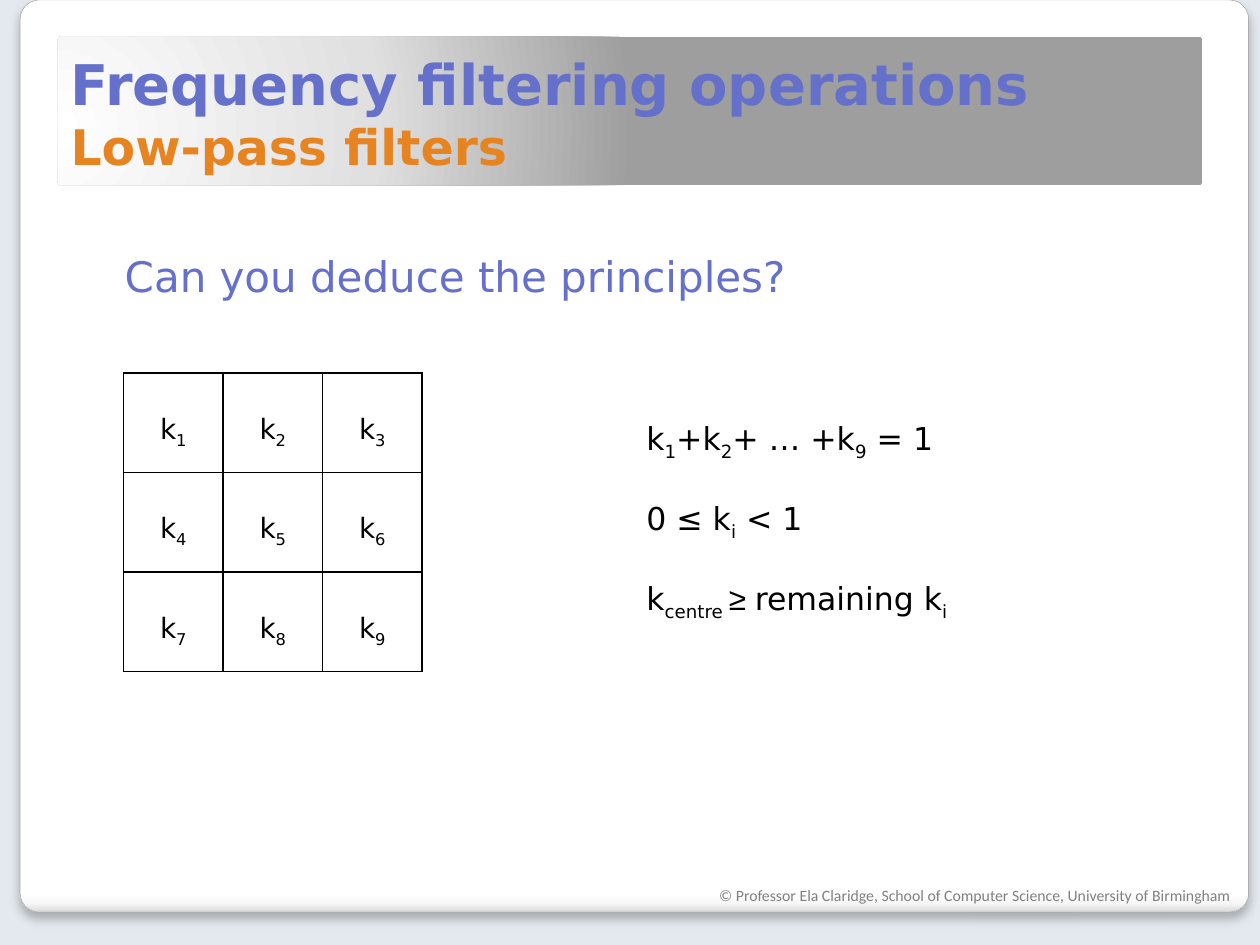
"""Build a slide on the principles of low-pass frequency filters."""
from pptx import Presentation
from pptx.dml.color import RGBColor
from pptx.enum.shapes import MSO_SHAPE
from pptx.enum.text import MSO_ANCHOR, MSO_AUTO_SIZE, PP_ALIGN
from pptx.oxml import parse_xml
from pptx.oxml.ns import nsdecls, qn
from pptx.util import Inches, Pt

ROUNDED = MSO_SHAPE.ROUNDED_RECTANGLE
TOP, MIDDLE, BOTTOM = MSO_ANCHOR.TOP, MSO_ANCHOR.MIDDLE, MSO_ANCHOR.BOTTOM
CENTER = PP_ALIGN.CENTER
FIT_SHAPE = MSO_AUTO_SIZE.SHAPE_TO_FIT_TEXT

BACKDROP = RGBColor(0xE4, 0xE9, 0xEF)
EDGE = RGBColor(0xA2, 0xA1, 0xA1)
BLUE = RGBColor(0x64, 0x70, 0xCA)
ORANGE = RGBColor(0xE6, 0x84, 0x22)
GRAY = RGBColor(0x80, 0x80, 0x80)
BLACK = RGBColor(0, 0, 0)

FONT = "DejaVu Sans"
MARGIN = Inches(0.05)
CELL = Inches(0.79)
GRID_SIZE = 3

CARD_STOPS = [(0, "FFFFFF"), (98, "FFFFFF"), (99, "F7F7F7"), (100, "D9D9D9")]
CARD_DIRECTION = '<a:lin ang="5400000" scaled="0"/>'
BANNER_STOPS = [(0, "FFFFFF"), (55, "E0E0E0"), (100, "9E9E9E")]
BANNER_DIRECTION = (
    '<a:path path="circle"><a:fillToRect l="-20000" t="62000" '
    'r="120000" b="38000"/></a:path>'
)
CONDITIONS = [
    ("k", "1", "+k", "2", "+ … +k", "9", " = 1"),
    ("0 ≤ k", "i", " < 1"),
    ("k", "centre ", "≥ ", "", "remaining k", "i"),
]


def style_font(font, size, color, name=FONT, bold=False):
    """Set the look of a font."""
    font.name, font.size, font.bold = name, Pt(size), bold
    font.color.rgb = color


def set_margins(holder):
    """Give a text frame or cell its narrow margins."""
    holder.margin_left = holder.margin_right = MARGIN
    holder.margin_top = holder.margin_bottom = MARGIN


def add_panel(slide, left, top, width, height, stops, direction):
    """Add a slightly rounded panel with a gradient fill."""
    panel = slide.shapes.add_shape(
        ROUNDED, Inches(left), Inches(top), Inches(width), Inches(height))
    panel.adjustments[0] = 0.021
    panel.shadow.inherit = False
    panel.line.fill.background()
    panel.fill.gradient()
    properties = panel.element.spPr
    stop_xml = "".join(
        f'<a:gs pos="{position * 1000}"><a:srgbClr val="{color}"/></a:gs>'
        for position, color in stops)
    gradient = parse_xml(
        f'<a:gradFill {nsdecls("a")} rotWithShape="1">'
        f'<a:gsLst>{stop_xml}</a:gsLst>{direction}</a:gradFill>')
    properties.replace(properties.find(qn("a:gradFill")), gradient)
    return panel


def add_card(slide):
    """Add the outlined card that casts a soft shadow."""
    card = add_panel(slide, 0.16, 0, 9.75, 7.24, CARD_STOPS, CARD_DIRECTION)
    card.line.color.rgb = EDGE
    card.line.width = Pt(0.25)
    card.element.spPr.find(qn("a:effectLst")).append(parse_xml(
        f'<a:outerShdw {nsdecls("a")} blurRad="{Pt(6)}" dist="{Pt(4)}" '
        'dir="5400000" rotWithShape="0"><a:srgbClr val="000000">'
        '<a:alpha val="25000"/></a:srgbClr></a:outerShdw>'))


def add_text_box(slide, left, top, width, height, anchor=TOP, wrap=False):
    """Add a text box and return its frame."""
    frame = slide.shapes.add_textbox(
        Inches(left), Inches(top), Inches(width), Inches(height)).text_frame
    frame.word_wrap = wrap
    frame.vertical_anchor = anchor
    set_margins(frame)
    if not wrap:
        frame.auto_size = FIT_SHAPE
    return frame


def add_title(slide):
    """Add the two-line title."""
    frame = add_text_box(slide, 0.51, 0.29, 8.95, 1.15, BOTTOM, wrap=True)
    title = frame.paragraphs[0]
    title.text = "Frequency filtering operations\vLow-pass filters"
    topic, subtopic = title.runs
    style_font(topic.font, 32, BLUE, bold=True)
    style_font(subtopic.font, 28, ORANGE, bold=True)


def write_formula(paragraph, parts, size):
    """Write parts that alternate between baseline and subscript."""
    for index, part in enumerate(parts):
        if not part:
            continue
        run = paragraph.add_run()
        run.text = part
        name = "Arial" if part.startswith("≥") else FONT
        style_font(run.font, size, BLACK, name)
        if index % 2:
            run.font._element.set("baseline", "-25000")


def add_borders(cell):
    """Draw a thin black line on every side of a cell."""
    properties = cell._tc.get_or_add_tcPr()
    for index, side in enumerate("LRTB"):
        properties.insert(index, parse_xml(
            f'<a:ln{side} {nsdecls("a")} w="{Pt(1)}"><a:solidFill>'
            f'<a:srgbClr val="000000"/></a:solidFill></a:ln{side}>'))


def add_kernel(slide):
    """Add the square table of filter coefficients."""
    side = CELL * GRID_SIZE
    kernel = slide.shapes.add_table(
        GRID_SIZE, GRID_SIZE, Inches(0.98), Inches(2.96), side, side).table
    kernel.first_row = kernel.horz_banding = False
    for number, cell in enumerate(kernel.iter_cells(), start=1):
        cell.fill.background()
        add_borders(cell)
        set_margins(cell)
        cell.vertical_anchor = MIDDLE
        coefficient = cell.text_frame.paragraphs[0]
        coefficient.alignment = CENTER
        coefficient.line_spacing = 1.5
        write_formula(coefficient, ("k", str(number)), 16)


def add_conditions(slide):
    """Add the conditions that the coefficients meet."""
    frame = add_text_box(slide, 5.08, 3.28, 2.62, 1.77)
    for index, parts in enumerate(CONDITIONS):
        condition = frame.add_paragraph() if index else frame.paragraphs[0]
        if index:
            condition.space_before = Pt(21)
        write_formula(condition, parts, 18)


def main():
    """Build and save the slide."""
    deck = Presentation()
    deck.slide_width, deck.slide_height = Inches(10), Inches(7.5)
    slide = deck.slides.add_slide(deck.slide_layouts[6])
    slide.background.fill.solid()
    slide.background.fill.fore_color.rgb = BACKDROP
    add_card(slide)
    add_panel(slide, 0.46, 0.29, 9.08, 1.18, BANNER_STOPS, BANNER_DIRECTION)

    copyright_line = add_text_box(slide, 5.61, 6.98, 4.53, 0.26, wrap=True)
    copyright_line.margin_left = Inches(0.1)
    copyright_line.text = (
        "© Professor Ela Claridge, School of Computer Science, "
        "University of Birmingham")
    style_font(copyright_line.paragraphs[0].runs[0].font, 9, GRAY, "Calibri")

    add_title(slide)
    add_kernel(slide)
    question = add_text_box(slide, 0.94, 1.94, 5.46, 0.5)
    question.text = "Can you deduce the principles?"
    style_font(question.paragraphs[0].runs[0].font, 24, BLUE)
    add_conditions(slide)
    deck.save("out.pptx")


if __name__ == "__main__":
    main()
